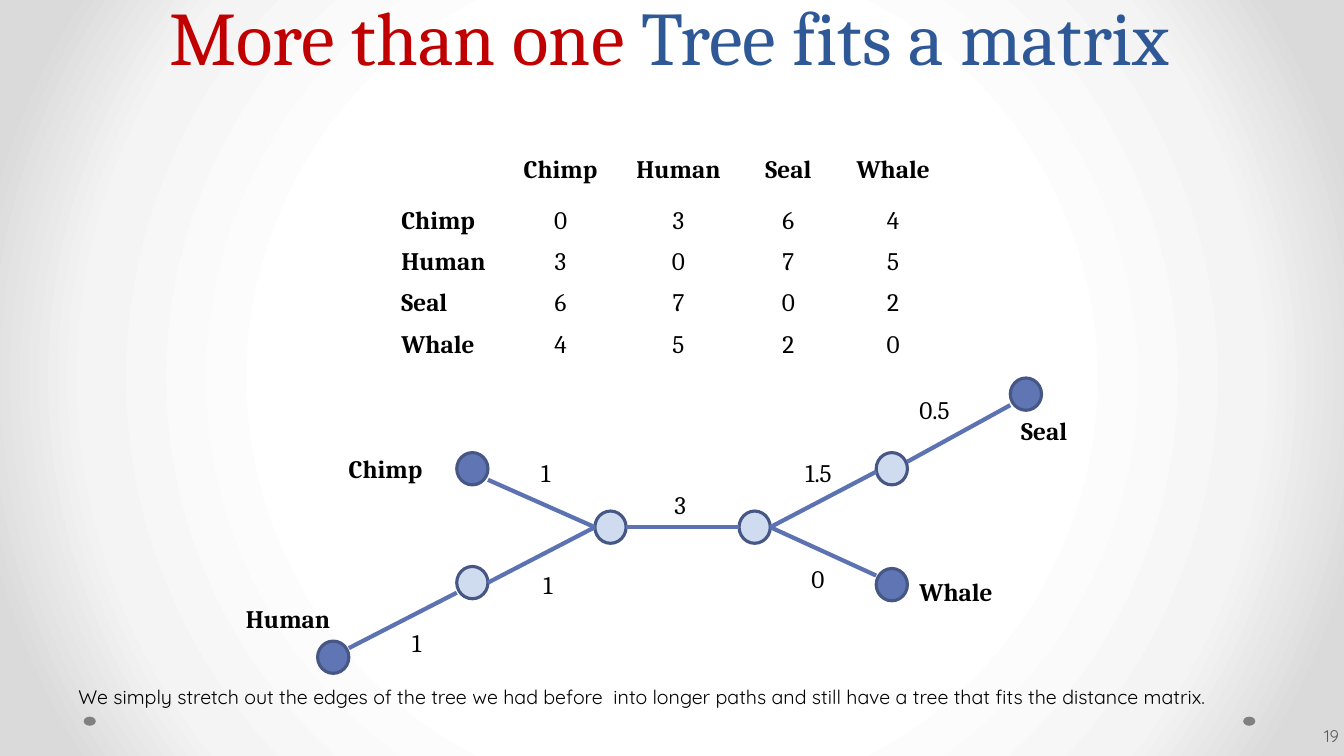
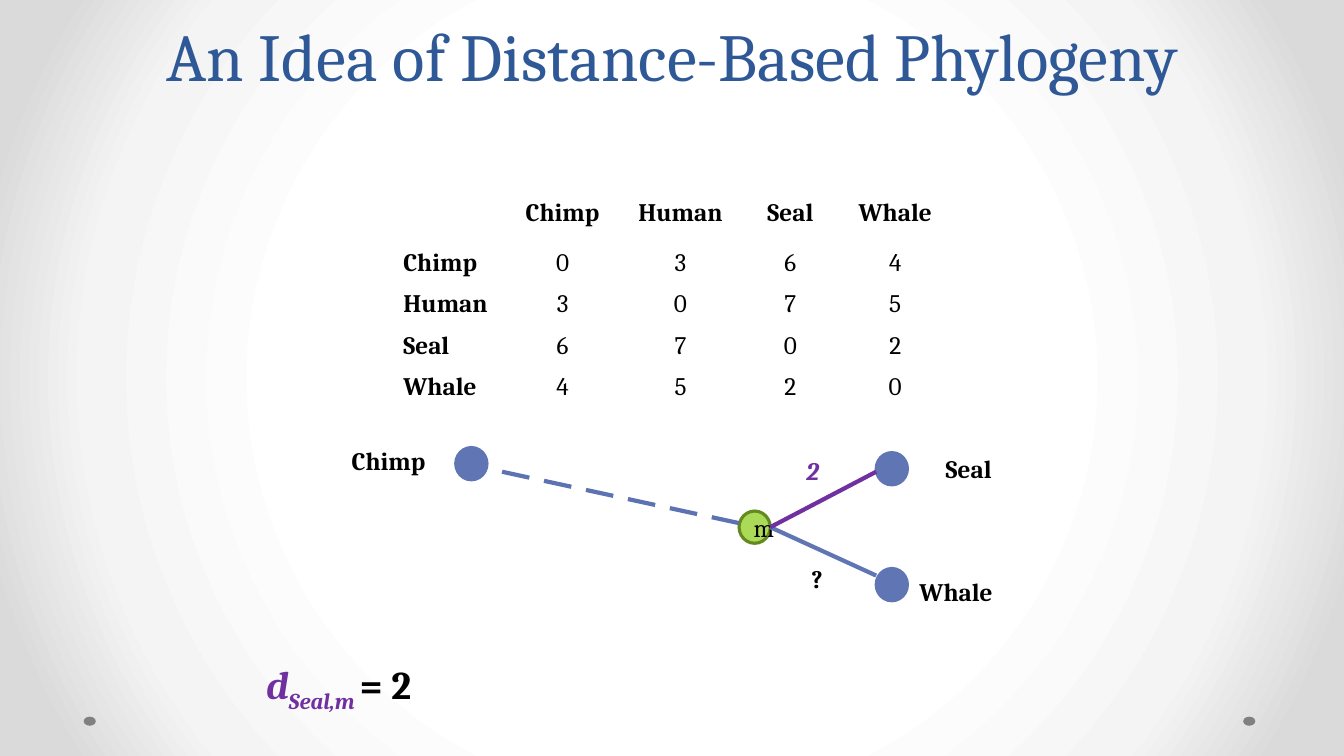
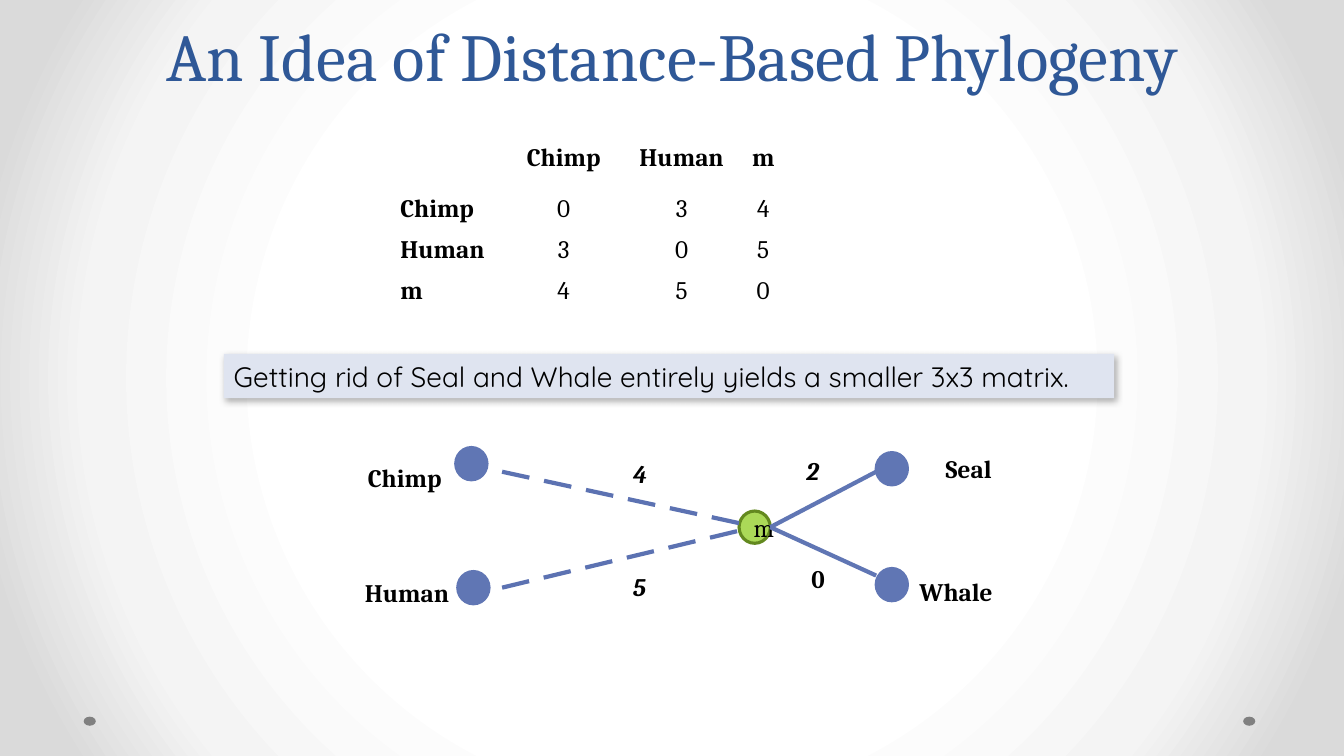
import pptx
import pptx.util
import pptx.dml.color
import pptx.enum.shapes
import pptx.enum.text
import pptx.oxml
import pptx.oxml.ns
from lxml import etree

COLOURS = {
    "title": "2F5897", "stress": "C00000", "text": "000000", "page": "595959",
    "leaf": "6076B4", "joint": "CFDCF0", "outline": "475785", "branch": "5C72B2",
    "merged": "ABD958", "merged_outline": "63891F", "focus": "7030A0",
    "note": "DFE4F0", "dot": "808080",
}
BACKDROP = [(50, "FFFFFF"), (76, "F4F4F4"), (92, "DADADA")]
SERIF, SANS = "Cambria", "Quicksand"
NO_TABLE_STYLE = "{2D5ABB26-0587-4C30-8999-92F81FD0307C}"

# The grid has square cells: 13.33 columns by 7.5 rows
COLUMNS, ROWS = 13.33, 7.5
NODE_W, NODE_H = 0.31, 0.32
ROW_H, HEADER_H = 0.41, 0.5
LABEL_H = 0.4
LABEL_W = {"Chimp": 1, "Human": 1.07, "Seal": 0.69, "Whale": 0.95,
           "1.5": 0.52, "0.5": 0.52, "?": 0.31}
DIGIT_W = 0.33

SPECIES_MATRIX = [
    ["", "Chimp", "Human", "Seal", "Whale"],
    ["Chimp", "0", "3", "6", "4"],
    ["Human", "3", "0", "7", "5"],
    ["Seal", "6", "7", "0", "2"],
    ["Whale", "4", "5", "2", "0"],
]
SPECIES_COLUMNS = [1.07, 1.22, 1.12, 1.06, 1.02]
MERGED_MATRIX = [
    ["", "Chimp", "Human", "m"],
    ["Chimp", "0", "3", "4"],
    ["Human", "3", "0", "5"],
    ["m", "4", "5", "0"],
]
MERGED_COLUMNS = [1.15, 1.14, 1.2, 0.42]


def cells(*lengths):
    return [pptx.util.Inches(length) for length in lengths]


def rgb(name):
    return pptx.dml.color.RGBColor.from_string(COLOURS[name])


def style(run, size=18, colour="text", font=SERIF, bold=False, italic=False):
    run.font.size = pptx.util.Pt(size)
    run.font.name = font
    run.font.bold = bold
    run.font.italic = italic
    run.font.color.rgb = rgb(colour)


def effects(shape, content=""):
    """Give a shape its own effect list, empty unless content is given."""
    ns = pptx.oxml.ns.nsdecls("a")
    shape._element.spPr.append(
        pptx.oxml.parse_xml(f"<a:effectLst {ns}>{content}</a:effectLst>"))


# Shared look
def add_backdrop(master):
    master.background.fill.solid()
    solid = next(master._element.iter(pptx.oxml.ns.qn("a:solidFill")))
    stops = "".join(f'<a:gs pos="{pos * 1000}"><a:srgbClr val="{colour}"/></a:gs>'
                    for pos, colour in BACKDROP)
    solid.getparent().replace(solid, pptx.oxml.parse_xml(
        f'<a:gradFill {pptx.oxml.ns.nsdecls("a")} rotWithShape="1">'
        f'<a:gsLst>{stops}</a:gsLst><a:path path="circle">'
        '<a:fillToRect l="50000" t="50000" r="50000" b="50000"/>'
        '</a:path></a:gradFill>'))


def add_corner_dots(master, slide):
    for index, left in enumerate((12.33, 0.83)):
        dot = add_ellipse(slide, left, 7.11, 0.12, 0.09, "dot")
        dot._element.nvSpPr.cNvPr.set("id", str(100 + index))
        master.shapes._spTree.append(dot._element)


def add_title(slide, parts, box, size):
    title = slide.shapes.title
    title.left, title.top, title.width, title.height = cells(*box)
    frame = title.text_frame
    frame.auto_size = pptx.enum.text.MSO_AUTO_SIZE.NONE
    frame.vertical_anchor = pptx.enum.text.MSO_ANCHOR.BOTTOM
    heading = frame.paragraphs[0]
    heading.alignment = pptx.enum.text.PP_ALIGN.CENTER
    heading.line_spacing = pptx.util.Pt(58)
    for words, colour in parts:
        run = heading.add_run()
        run.text = words
        style(run, size, colour)


def add_phylogeny_title(slide):
    add_title(slide, [("An Idea of Distance-Based Phylogeny", "title")],
              (0.67, 0.01, 12, 0.98), 48)


# Elements
def add_text(slide, words, box, **look):
    holder = slide.shapes.add_textbox(*cells(*box))
    frame = holder.text_frame
    frame.text = words
    frame.word_wrap = False
    frame.auto_size = pptx.enum.text.MSO_AUTO_SIZE.SHAPE_TO_FIT_TEXT
    for run in frame.paragraphs[0].runs:
        style(run, **look)
    return frame


def add_label(slide, words, left, top, **look):
    add_text(slide, words, (left, top, LABEL_W.get(words, DIGIT_W), LABEL_H), **look)


def add_names(slide, places):
    for name, left, top in places:
        add_label(slide, name, left, top, bold=True)


def add_ellipse(slide, left, top, width, height, fill, outline=None):
    ellipse = slide.shapes.add_shape(pptx.enum.shapes.MSO_SHAPE.OVAL,
                                     *cells(left, top, width, height))
    ellipse.shadow.inherit = False
    ellipse.fill.solid()
    ellipse.fill.fore_color.rgb = rgb(fill)
    if outline:
        ellipse.line.color.rgb = rgb(outline)
        ellipse.line.width = pptx.util.Pt(2.25)
    else:
        ellipse.line.fill.background()
    return ellipse


def add_node(slide, corner, fill="leaf", outline="leaf"):
    return add_ellipse(slide, *corner, NODE_W, NODE_H, fill, outline)


def add_line(slide, start, end, colour="branch"):
    line = slide.shapes.add_connector(pptx.enum.shapes.MSO_CONNECTOR.STRAIGHT,
                                      *cells(*start, *end))
    line.line.color.rgb = rgb(colour)
    line.line.width = pptx.util.Pt(3)
    effects(line)


def add_branch(slide, left_node, right_node, drop_start=0, drop_end=0, colour="branch"):
    """Join facing sides of two nodes; drops move the ends off mid-height."""
    middle = NODE_H / 2
    add_line(slide,
             (left_node[0] + NODE_W, left_node[1] + middle + drop_start),
             (right_node[0], right_node[1] + middle + drop_end), colour)


def add_dashes(slide, start, end, count=6, dash=0.115):
    """Spread equal dashes, each a share of the whole, from start to end."""
    def point(share):
        return [a + (b - a) * share for a, b in zip(start, end)]

    step = (1 - dash) / (count - 1)
    for index in range(count):
        add_line(slide, point(index * step), point(index * step + dash))


def add_matrix(slide, left, top, rows, widths):
    height = HEADER_H + ROW_H * (len(rows) - 1)
    matrix = slide.shapes.add_table(len(rows), len(widths),
                                    *cells(left, top, sum(widths), height)).table
    matrix.first_row = matrix.horz_banding = False
    matrix._tbl.tblPr.find(pptx.oxml.ns.qn("a:tableStyleId")).text = NO_TABLE_STYLE
    for column, width in zip(matrix.columns, widths):
        column.width = pptx.util.Inches(width)
    for r, values in enumerate(rows):
        matrix.rows[r].height = pptx.util.Inches(ROW_H if r else HEADER_H)
        for c, value in enumerate(values):
            cell = matrix.cell(r, c)
            cell.fill.background()
            cell.text_frame.text = value
            entry = cell.text_frame.paragraphs[0]
            if c:
                entry.alignment = pptx.enum.text.PP_ALIGN.CENTER
            for run in entry.runs:
                style(run, bold=r == 0 or c == 0)


def add_note(slide, words, box):
    note = slide.shapes.add_shape(pptx.enum.shapes.MSO_SHAPE.RECTANGLE, *cells(*box))
    note.fill.solid()
    note.fill.fore_color.rgb = rgb("note")
    note.line.fill.background()
    effects(note, '<a:outerShdw blurRad="57150" dist="33020" dir="3180000" '
                  'algn="ctr" rotWithShape="0"><a:srgbClr val="000000">'
                  '<a:alpha val="30000"/></a:srgbClr></a:outerShdw>')
    note.text_frame.text = words
    sentence = note.text_frame.paragraphs[0]
    sentence.alignment = pptx.enum.text.PP_ALIGN.LEFT
    style(sentence.runs[0], 20, font=SANS)


def add_page_number(slide, number):
    frame = add_text(slide, number, (10.33, 7.1, 3, 0.4),
                     size=12, colour="page", font=SANS)
    frame.word_wrap = True
    frame.auto_size = pptx.enum.text.MSO_AUTO_SIZE.NONE
    frame.vertical_anchor = pptx.enum.text.MSO_ANCHOR.MIDDLE
    frame.margin_left = pptx.util.Inches(0.03)
    frame.margin_right = pptx.util.Inches(0.05)
    frame.paragraphs[0].alignment = pptx.enum.text.PP_ALIGN.RIGHT


def add_fork(slide, seal_look, seal_colour, whale_distance):
    """Node m with its branches to Seal and Whale."""
    m, seal, whale = (7.33, 5.07), (8.69, 4.49), (8.69, 5.64)
    merged = add_node(slide, m, "merged", "merged_outline")
    merged.text_frame.text = "m"
    merged.text_frame.paragraphs[0].alignment = pptx.enum.text.PP_ALIGN.CENTER
    style(merged.text_frame.paragraphs[0].runs[0])
    add_node(slide, seal)
    add_node(slide, whale)
    add_branch(slide, m, whale, 0, -0.09, "leaf")
    add_branch(slide, m, seal, 0, 0.03, seal_colour)
    add_label(slide, "2", 7.9, 4.47, bold=True, italic=True, colour=seal_look)
    add_names(slide, [(whale_distance, 7.95, 5.54),
                      ("Whale", 9.02, 5.67), ("Seal", 9.28, 4.45)])


def add_chimp_link(slide):
    add_dashes(slide, (7.33, 5.19), (4.98, 4.68))
    add_node(slide, (4.52, 4.44))


# Slides
def build_stretched_tree(slide):
    add_title(slide, [("More than one ", "stress"), ("Tree fits a matrix", "title")],
              (0.64, 0, 12, 0.85), 54)
    add_matrix(slide, 3.88, 1.5, SPECIES_MATRIX, SPECIES_COLUMNS)

    chimp, human, seal, whale = (4.53, 4.49), (3.15, 6.36), (10.02, 3.75), (8.69, 5.64)
    human_joint, seal_joint = (4.53, 5.62), (8.69, 4.49)
    left_hub, right_hub = (5.9, 5.07), (7.33, 5.07)
    for leaf in (chimp, human, seal, whale):
        add_node(slide, leaf, "leaf", "outline")
    for joint in (human_joint, seal_joint, left_hub, right_hub):
        add_node(slide, joint, "joint", "outline")

    add_branch(slide, chimp, left_hub, 0.11)
    add_branch(slide, human_joint, left_hub)
    add_branch(slide, left_hub, right_hub)
    add_branch(slide, right_hub, whale, 0, -0.09)
    add_branch(slide, right_hub, seal_joint, 0, 0.03)
    add_branch(slide, human, human_joint, -0.09, 0.1)
    add_branch(slide, seal_joint, seal, -0.07, 0.11)

    for length, left, top in [("1", 5.27, 4.49), ("3", 6.59, 4.81), ("1", 5.29, 5.6),
                              ("1.5", 7.89, 4.49), ("0", 7.95, 5.54),
                              ("1", 3.99, 6.17), ("0.5", 9.02, 3.86)]:
        add_label(slide, length, left, top)
    add_names(slide, [("Chimp", 3.36, 4.45), ("Human", 2.34, 5.94),
                      ("Whale", 9.02, 5.67), ("Seal", 10.03, 4.07)])
    add_page_number(slide, "19")
    add_text(slide, "We simply stretch out the edges of the tree we had before  into "
                    "longer paths and still have a tree that fits the distance matrix.",
             (0.68, 6.75, 12.06, 0.34), size=14, font=SANS)


def build_seal_distance(slide):
    add_phylogeny_title(slide)
    add_matrix(slide, 3.9, 1.92, SPECIES_MATRIX, SPECIES_COLUMNS)
    add_fork(slide, "focus", "focus", "?")
    add_chimp_link(slide)
    add_names(slide, [("Chimp", 3.39, 4.37)])

    formula = add_text(slide, "d", (2.54, 6.5, 1.75, 0.57),
                       size=28, colour="focus", bold=True, italic=True).paragraphs[0]
    subscript = formula.add_run()
    subscript.text = "Seal,m "
    style(subscript, 28, "focus", bold=True, italic=True)
    subscript.font._element.set("baseline", "-25000")
    value = formula.add_run()
    value.text = "= 2"
    style(value, 28, bold=True)


def build_smaller_matrix(slide):
    add_phylogeny_title(slide)
    add_matrix(slide, 3.87, 1.38, MERGED_MATRIX, MERGED_COLUMNS)
    add_fork(slide, "text", "leaf", "0")
    add_chimp_link(slide)
    add_dashes(slide, (7.31, 5.27), (4.98, 5.83))
    add_node(slide, (4.54, 5.67))
    add_names(slide, [("Chimp", 3.55, 4.54), ("Human", 3.52, 5.68)])
    for distance, top in (("4", 4.5), ("5", 5.62)):
        add_label(slide, distance, 6.18, top, bold=True, italic=True)
    add_note(slide, "Getting rid of Seal and Whale entirely yields a smaller 3x3 matrix.",
             (2.22, 3.51, 8.83, 0.44))


def main():
    deck = pptx.Presentation()
    deck.slide_width, deck.slide_height = cells(COLUMNS, ROWS)
    title_only = deck.slide_layouts[5]
    add_backdrop(deck.slide_master)
    builders = (build_stretched_tree, build_seal_distance, build_smaller_matrix)
    slides = [deck.slides.add_slide(title_only) for _ in builders]
    add_corner_dots(deck.slide_master, slides[0])
    for build, slide in zip(builders, slides):
        build(slide)
    deck.save("out.pptx")


if __name__ == "__main__":
    main()
